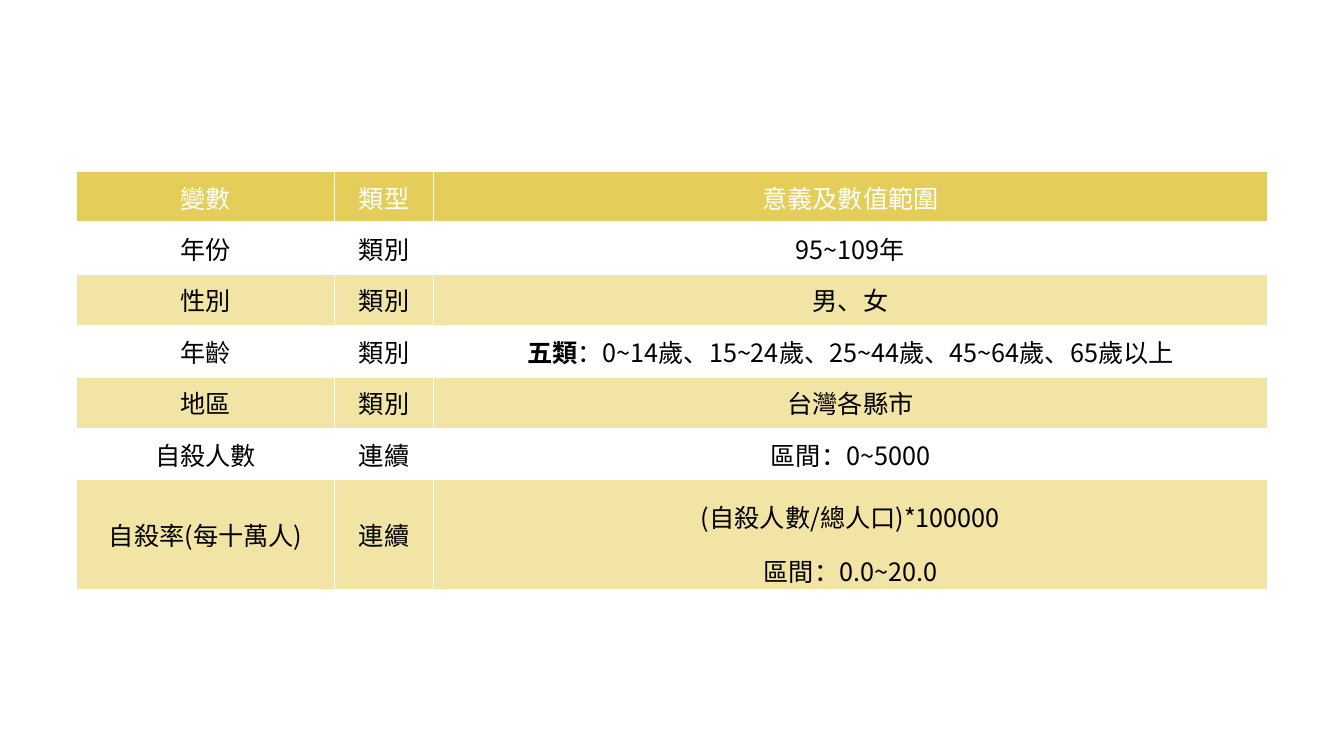
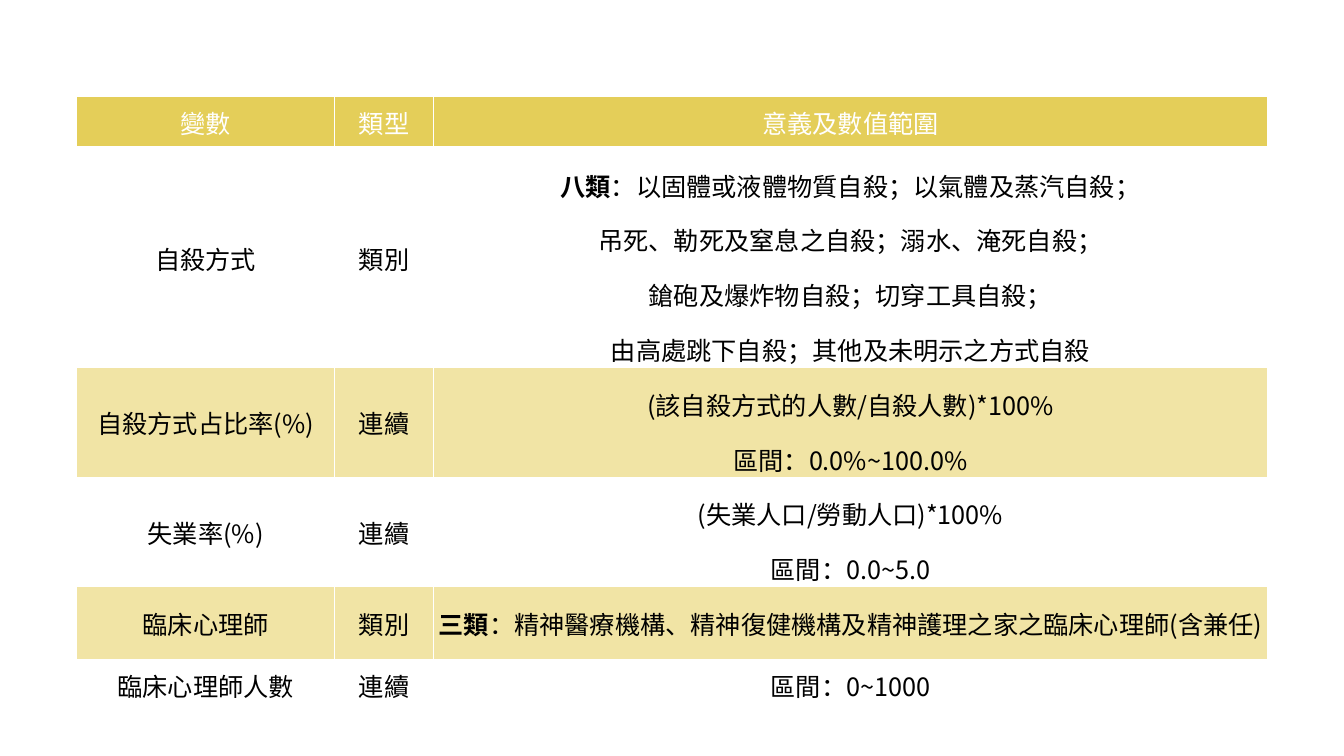
"""Build two slides that tabulate study variables with their types and ranges."""
from dataclasses import dataclass
from lxml import etree
from pptx import Presentation
from pptx import util as u
from pptx.dml.color import RGBColor
from pptx.enum import text
from pptx.oxml import ns

HEAD = ("變數", "類型", "意義及數值範圍")
COLS = (256, 98, 827)
LEFT = 76
ROW, PAIR, WRAP, QUAD = 51, 107, 72, 218

BASIC = (
    (ROW, "年份", "類別", "", ["95~109年"]),
    (ROW, "性別", "類別", "", ["男、女"]),
    (ROW, "年齡", "類別", "五類", ["：0~14歲、15~24歲、25~44歲、45~64歲、65歲以上"]),
    (ROW, "地區", "類別", "", ["台灣各縣市"]),
    (ROW, "自殺人數", "連續", "", ["區間：0~5000"]),
    (PAIR, "自殺率(每十萬人)", "連續", "", ["(自殺人數/總人口)*100000", "區間：0.0~20.0"]),
)
OTHER = (
    (QUAD, "自殺方式", "類別", "八類", [
        "：以固體或液體物質自殺；以氣體及蒸汽自殺；",
        "吊死、勒死及窒息之自殺；溺水、淹死自殺；",
        "鎗砲及爆炸物自殺；切穿工具自殺；",
        "由高處跳下自殺；其他及未明示之方式自殺",
    ]),
    (PAIR, "自殺方式占比率(%)", "連續", "", ["(該自殺方式的人數/自殺人數)*100%", "區間：0.0%~100.0%"]),
    (PAIR, "失業率(%)", "連續", "", ["(失業人口/勞動人口)*100%", "區間：0.0~5.0"]),
    (WRAP, "臨床心理師", "類別", "三類", ["：精神醫療機構、精神復健機構及精神護理之家之臨床心理師(含兼任)"]),
    (ROW, "臨床心理師人數", "連續", "", ["區間：0~1000"]),
)


@dataclass(frozen=True)
class Theme:
    """Hold the colours, font and sizes."""
    font: str = "Noto Sans CJK SC"
    size: int = 18
    white: str = "FFFFFF"
    black: str = "000000"
    gold: str = "E4CE59"
    pale: str = "F1E4A5"
    thin: int = 1
    thick: int = 3
    loose: float = 1.5


THEME = Theme()


def px(n):
    """Turn px into EMU at 100 px to the inch."""
    return u.Emu(n * 9144)


def style(para, ink):
    """Centre a paragraph and set its font."""
    para.alignment = text.PP_ALIGN.CENTER
    font = para.font
    font.name, font.size = THEME.font, u.Pt(THEME.size)
    font.color.rgb = RGBColor.from_string(ink)
    latin = para._p.pPr.find(".//" + ns.qn("a:latin"))
    east = etree.Element(ns.qn("a:ea"), typeface=THEME.font)
    latin.addnext(east)


def edge(cell, base):
    """Draw white borders, with the given width at the base."""
    props = cell._tc.get_or_add_tcPr()
    for spot, side in enumerate(("lnL", "lnR", "lnT", "lnB")):
        width = base if side == "lnB" else THEME.thin
        line = etree.Element(ns.qn("a:" + side), w=str(u.Pt(width)))
        fill = etree.SubElement(line, ns.qn("a:solidFill"))
        etree.SubElement(fill, ns.qn("a:srgbClr"), val=THEME.white)
        props.insert(spot, line)


def fill_cell(cell, lines, back, ink, lead="", base=THEME.thin):
    """Write centred lines in a filled cell, after an optional bold lead."""
    cell.margin_left = cell.margin_right = 0
    cell.margin_top = cell.margin_bottom = 0
    cell.vertical_anchor = text.MSO_ANCHOR.MIDDLE
    cell.fill.solid()
    cell.fill.fore_color.rgb = RGBColor.from_string(back)
    edge(cell, base)
    frame = cell.text_frame
    for n, line in enumerate(lines):
        para = frame.add_paragraph() if n else frame.paragraphs[0]
        if len(lines) > 1:
            para.line_spacing = THEME.loose
        style(para, ink)
        if lead and n == 0:
            run = para.add_run()
            run.text, run.font.bold = lead, True
        para.add_run().text = line


def add_grid(deck, top, rows):
    """Add a slide with a header row and banded rows."""
    slide = deck.slides.add_slide(deck.slide_layouts[6])
    highs = [ROW] + [row[0] for row in rows]
    grid = slide.shapes.add_table(
        len(highs), len(COLS), px(LEFT), px(top), px(sum(COLS)), px(sum(highs))).table
    grid.first_row = grid.horz_banding = False
    for col, wide in zip(grid.columns, COLS):
        col.width = px(wide)
    for row, high in zip(grid.rows, highs):
        row.height = px(high)
    for c, label in enumerate(HEAD):
        fill_cell(grid.cell(0, c), [label], THEME.gold, THEME.white, base=THEME.thick)
    for r, (_, name, kind, lead, lines) in enumerate(rows, 1):
        back = THEME.white if r % 2 else THEME.pale
        fill_cell(grid.cell(r, 0), [name], back, THEME.black)
        fill_cell(grid.cell(r, 1), [kind], back, THEME.black)
        fill_cell(grid.cell(r, 2), lines, back, THEME.black, lead)


def main():
    """Build and save the deck."""
    deck = Presentation()
    deck.slide_width, deck.slide_height = px(1333), px(750)
    add_grid(deck, 170, BASIC)
    add_grid(deck, 96, OTHER)
    deck.save("out.pptx")


if __name__ == "__main__":
    main()
